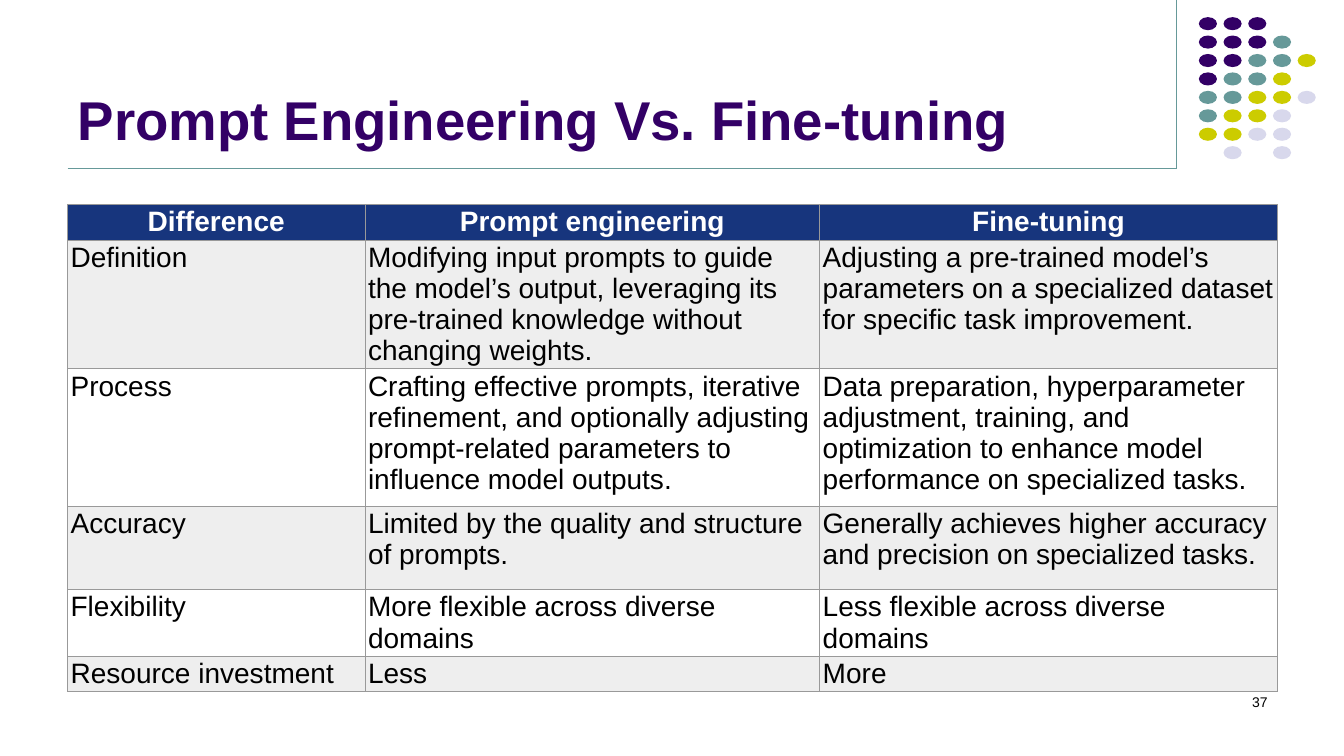
from typing import NamedTuple

from lxml import etree
from pptx import Presentation
from pptx.dml.color import RGBColor
from pptx.enum.shapes import MSO_CONNECTOR as Connector, MSO_SHAPE as Shape
from pptx.enum.text import MSO_ANCHOR as Anchor, MSO_AUTO_SIZE as AutoSize, PP_ALIGN as Align
from pptx.oxml.ns import qn
from pptx.util import Inches, Pt

COLORS = {
    "purple": "330066",
    "teal": "669999",
    "lime": "CCCC00",
    "lavender": "D8D8EC",
    "navy": "17357D",
    "stripe": "EEEEEE",
    "border": "999999",
    "white": "FFFFFF",
    "black": "000000",
}
DOT_COLORS = {"P": "purple", "T": "teal", "L": "lime", "V": "lavender"}
DOT_ROWS = ["PPP", "PPPT", "PPTTL", "PTTL", "TTLLV", "TLLV", "LLVV", " V V"]
COLUMN_WIDTHS = [2.95, 4.51, 4.54]


class Rule(NamedTuple):
    x1: float
    y1: float
    x2: float
    y2: float


class ComparisonRow(NamedTuple):
    height: float
    cells: tuple[str, str, str]


RULES = [Rule(11.67, 0, 11.67, 1.67), Rule(0.67, 1.67, 11.67, 1.67)]
ROWS = [
    ComparisonRow(0.3, ("Difference", "Prompt engineering", "Fine-tuning")),
    ComparisonRow(1.23, (
        "Definition",
        "Modifying input prompts to guide the model’s output, leveraging its "
        "pre-trained knowledge without changing weights.",
        "Adjusting a pre-trained model’s parameters on a specialized dataset "
        "for specific task improvement.",
    )),
    ComparisonRow(1.36, (
        "Process",
        "Crafting effective prompts, iterative refinement, and optionally "
        "adjusting prompt-related parameters to influence model outputs.",
        "Data preparation, hyperparameter adjustment, training, and "
        "optimization to enhance model performance on specialized tasks.",
    )),
    ComparisonRow(0.83, (
        "Accuracy",
        "Limited by the quality and structure of prompts.",
        "Generally achieves higher accuracy and precision on specialized tasks.",
    )),
    ComparisonRow(0.43, (
        "Flexibility",
        "More flexible across diverse domains",
        "Less flexible across diverse domains",
    )),
    ComparisonRow(0.3, ("Resource investment", "Less", "More")),
]


def rgb(name: str) -> RGBColor:
    return RGBColor.from_string(COLORS[name])


def write(frame, text: str, *, size: float, color: str = "black", bold: bool = False,
          align: Align = Align.LEFT) -> None:
    frame.word_wrap = True
    para = frame.paragraphs[0]
    para.alignment = align
    span = para.add_run()
    span.text = text
    span.font.name = "Arial"
    span.font.size = Pt(size)
    span.font.bold = bold
    span.font.color.rgb = rgb(color)


def draw_rule(page, rule: Rule) -> None:
    line = page.shapes.add_connector(Connector.STRAIGHT, *map(Inches, rule))
    line.line.color.rgb = rgb("teal")
    line.line.width = Pt(0.75)
    etree.SubElement(line.element.spPr, qn("a:effectLst"))


def draw_dots(page) -> None:
    group = page.shapes.add_group_shape()
    for row, pattern in enumerate(DOT_ROWS):
        for column, key in enumerate(pattern):
            if key == " ":
                continue
            dot = group.shapes.add_shape(
                Shape.OVAL, Inches(11.89 + column * 0.98 / 4), Inches(0.17 + row * 1.28 / 7),
                Inches(0.18), Inches(0.13))
            dot.shadow.inherit = False
            dot.fill.solid()
            dot.fill.fore_color.rgb = rgb(DOT_COLORS[key])
            dot.line.fill.background()


def add_borders(cell) -> None:
    properties = cell._tc.get_or_add_tcPr()
    for side in ("lnL", "lnR", "lnT", "lnB"):
        line = etree.SubElement(properties, qn(f"a:{side}"), w=str(Pt(0.5)))
        fill = etree.SubElement(line, qn("a:solidFill"))
        etree.SubElement(fill, qn("a:srgbClr"), val=COLORS["border"])


def format_cell(cell, text: str, row: int) -> None:
    header = row == 0
    cell.margin_left = cell.margin_right = Inches(0.03)
    cell.margin_top = cell.margin_bottom = Inches(0.02)
    cell.vertical_anchor = Anchor.MIDDLE if header else Anchor.TOP
    add_borders(cell)
    cell.fill.solid()
    cell.fill.fore_color.rgb = rgb("navy" if header else "stripe" if row % 2 else "white")
    write(cell.text_frame, text, size=20, bold=header,
          color="white" if header else "black", align=Align.CENTER if header else Align.LEFT)


def draw_table(page) -> None:
    holder = page.shapes.add_table(
        len(ROWS), len(COLUMN_WIDTHS), Inches(0.67), Inches(2.03), Inches(12), Inches(5))
    table = holder.table
    table.horz_banding = False
    for column, width in zip(table.columns, COLUMN_WIDTHS):
        column.width = Inches(width)
    for index, row in enumerate(ROWS):
        table.rows[index].height = Inches(row.height)
        for column, text in enumerate(row.cells):
            format_cell(table.cell(index, column), text, index)
    holder.height = Inches(5)


def main() -> None:
    deck = Presentation()
    deck.slide_width = Inches(13.33)
    deck.slide_height = Inches(7.5)
    page = deck.slides.add_slide(deck.slide_layouts[5])

    for rule in RULES:
        draw_rule(page, rule)
    draw_dots(page)

    title = page.shapes.title
    title.left, title.top, title.width, title.height = map(Inches, (0.67, 0.13, 11, 1.42))
    title.text_frame.vertical_anchor = Anchor.BOTTOM
    title.text_frame.auto_size = AutoSize.NONE
    write(title.text_frame, "Prompt Engineering Vs. Fine-tuning", size=39, color="purple", bold=True)

    draw_table(page)

    number = page.shapes.add_textbox(*map(Inches, (9.56, 6.83, 3.11, 0.5)))
    write(number.text_frame, "37", size=10, align=Align.RIGHT)
    deck.save("out.pptx")


if __name__ == "__main__":
    main()
